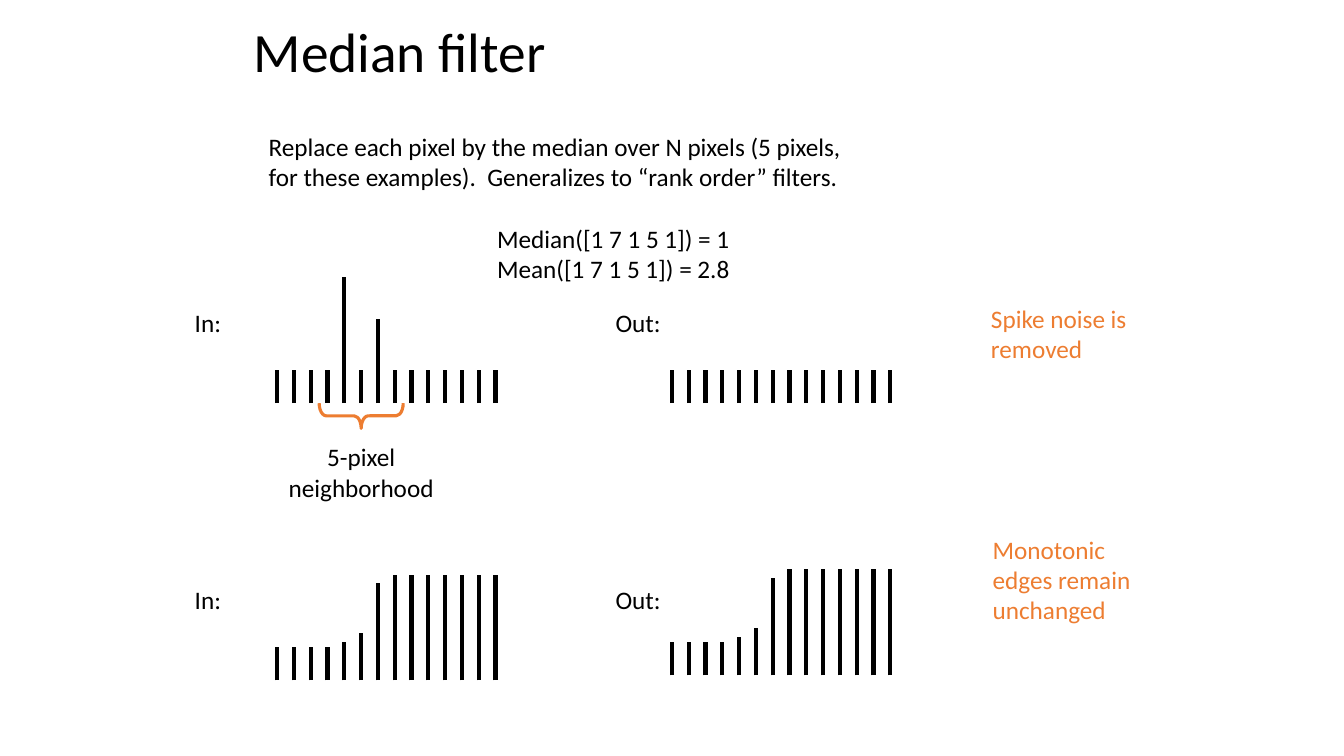
from lxml import etree
from pptx import Presentation
from pptx.dml.color import RGBColor
from pptx.enum.shapes import MSO_CONNECTOR, MSO_SHAPE
from pptx.enum.text import MSO_ANCHOR, MSO_AUTO_SIZE, PP_ALIGN
from pptx.oxml.ns import qn
from pptx.util import Inches, Pt

LINE = MSO_CONNECTOR.STRAIGHT
BRACE = MSO_SHAPE.LEFT_BRACE
MIDDLE = MSO_ANCHOR.MIDDLE
FIXED = MSO_AUTO_SIZE.NONE
LEFT, CENTER = PP_ALIGN.LEFT, PP_ALIGN.CENTER

BLACK, ORANGE = "000000", "ED7D31"
FONT = "Calibri"
COLS, ROWS = 80, 45
CELL = Inches(13.333) / COLS
IN_COL, OUT_COL = 16.5, 40

# Bar heights in grid rows, one bar per column
FLAT = [2] * 14
SPIKES = [2] * 4 + [7.5, 2, 5] + [2] * 7
EDGE = [2] * 4 + [2.3, 2.8, 5.8] + [6.3] * 7


def grid(*cells):
    """Turn grid columns or rows into slide lengths."""
    return [round(n * CELL) for n in cells]


def color(code):
    return RGBColor.from_string(code)


def write(frame, text, size=18, ink=BLACK, align=LEFT, wrap=True, gap=1.0):
    """Fill a text frame, one paragraph per line of text."""
    frame.word_wrap = wrap
    frame.auto_size = FIXED
    frame.text = text
    for para in frame.paragraphs:
        para.alignment = align
        para.line_spacing = gap
        para.font.name = FONT
        para.font.size = Pt(size)
        para.font.color.rgb = color(ink)


def label(slide, text, area, **style):
    box = slide.shapes.add_textbox(*grid(*area))
    write(box.text_frame, text, **style)


def title(slide, text, area):
    head = slide.shapes.title
    head.left, head.top, head.width, head.height = grid(*area)
    write(head.text_frame, text, size=39.6, gap=0.9)
    head.text_frame.vertical_anchor = MIDDLE


def signal(slide, col, base, bars):
    """Draw a row of pixel bars that stand on one base line."""
    for step, tall in enumerate(bars):
        x, foot, top = grid(col + step, base, base - tall)
        bar = slide.shapes.add_connector(LINE, x, foot, x, top)
        bar.line.color.rgb = color(BLACK)
        bar.line.width = Pt(3)
        etree.SubElement(bar._element.spPr, qn("a:effectLst"))


def brace(slide, area):
    mark = slide.shapes.add_shape(BRACE, *grid(*area))
    mark.rotation = 270
    mark.adjustments[0] = 0.28
    mark.shadow.inherit = False
    mark.fill.background()
    mark.line.color.rgb = color(ORANGE)
    mark.line.width = Pt(2.25)


def main():
    deck = Presentation()
    deck.slide_width, deck.slide_height = grid(COLS, ROWS)
    slide = deck.slides.add_slide(deck.slide_layouts[5])

    title(slide, "Median filter", (14.5, 1, 51, 4.5))
    label(slide, "Replace each pixel by the median over N pixels (5 pixels, "
          "for these examples).  Generalizes to “rank order” filters.",
          (15.4, 7.5, 37.1, 4.25))
    label(slide, "Median([1 7 1 5 1]) = 1\nMean([1 7 1 5 1]) = 2.8",
          (29, 13, 15.25, 4.25), wrap=False)

    signal(slide, IN_COL, 24, SPIKES)
    signal(slide, OUT_COL, 24, FLAT)
    signal(slide, IN_COL, 40.5, EDGE)
    signal(slide, OUT_COL, 40.2, EDGE)
    for row in (18, 34.5):
        label(slide, "In:", (11, row, 2.8, 2.4), wrap=False)
        label(slide, "Out:", (36.05, row, 3.9, 2.4), wrap=False)

    brace(slide, (20.75, 22.25, 1.5, 5))
    label(slide, "5-pixel neighborhood", (15, 26, 13, 4.2), align=CENTER)
    label(slide, "Spike noise is removed", (58.4, 17.75, 10.1, 4.25),
          ink=ORANGE)
    label(slide, "Monotonic edges remain unchanged",
          (58.5, 31.5, 10.1, 6.05), ink=ORANGE)
    deck.save("out.pptx")


if __name__ == "__main__":
    main()
